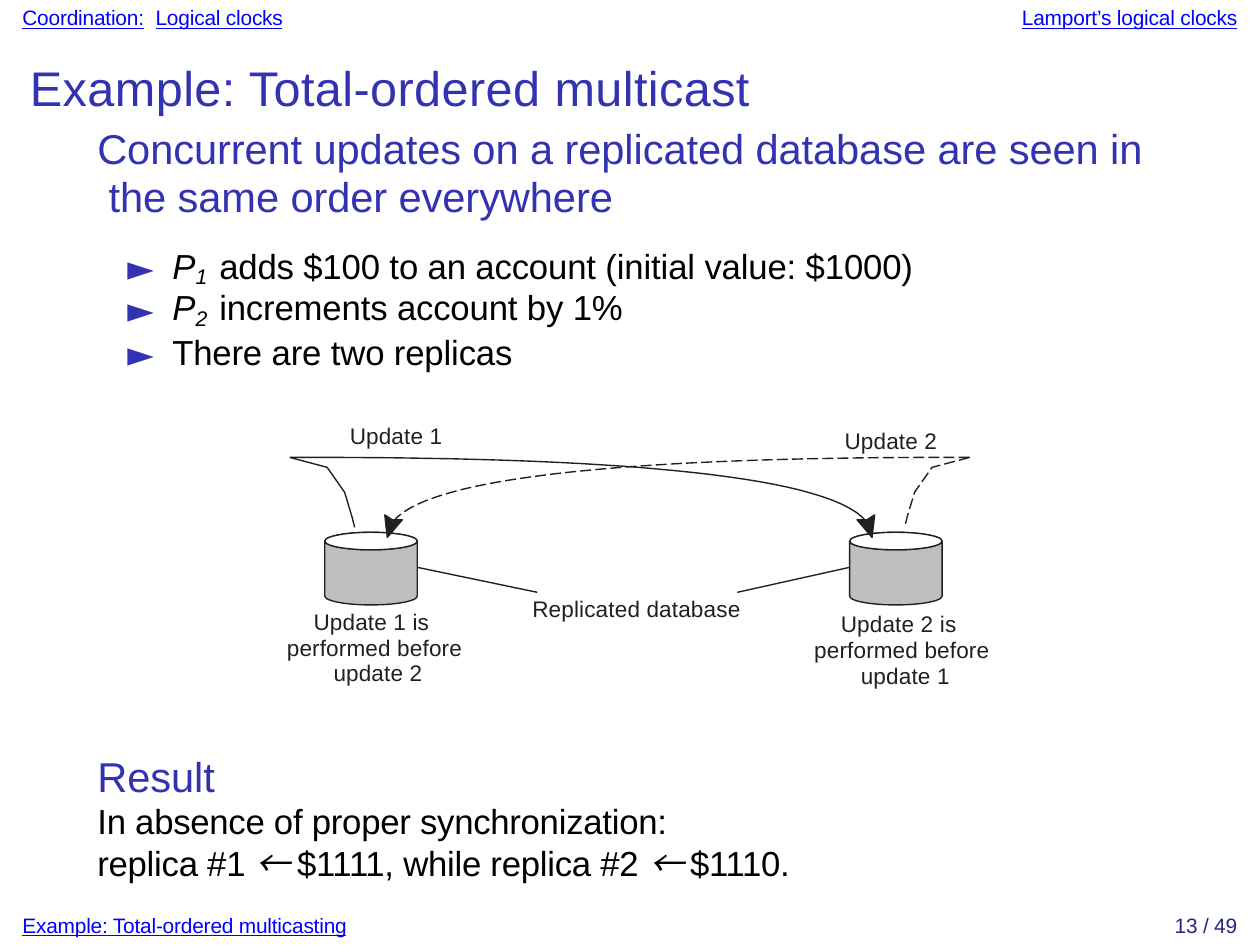
from lxml.etree import SubElement
from pptx import Presentation
from pptx.dml.color import RGBColor
from pptx.enum.dml import MSO_LINE
from pptx.enum.shapes import MSO_CONNECTOR, MSO_SHAPE
from pptx.enum.text import PP_ALIGN
from pptx.oxml.ns import qn
from pptx.util import Inches, Pt

BLUE = RGBColor(0x33, 0x33, 0xB2)
LINK = RGBColor(0x00, 0x00, 0xFF)
NAVY = RGBColor(0x26, 0x26, 0x85)
BLACK = RGBColor(0, 0, 0)
INK = RGBColor(0x23, 0x1F, 0x20)
GRAY = RGBColor(0xBC, 0xBE, 0xC0)
WHITE = RGBColor(0xFF, 0xFF, 0xFF)
FONT = "Arial"
SYMBOL_FONT = "Noto Sans CJK JP"

SUB = {"size": 10.5, "baseline": -16, "italic": True, "spacing": 0.1}
VAR = {"italic": True, "spacing": 0.1}
GAP = {"spacing": 0.5}
ARROW = {"font": SYMBOL_FONT, "italic": True}
UNDERLINED = {"underline": True}

HEADING = {"size": 12, "color": BLUE, "spacing": -0.03}
BODY = {"size": 10, "color": BLACK, "spacing": -0.05}
BULLET = {**BODY, "spacing": -0.03, "bullet": True, "indent": 0.33, "line": 12}
FOOT = {"size": 6, "color": LINK, "spacing": -0.05}
LABEL = {"size": 6.5, "color": INK, "spacing": 0.05}
CAPTION = {**LABEL, "align": PP_ALIGN.CENTER, "line": 0.95}

TEXTS = [
    ((0.09, 0.02, 4.87, 0.13), [
        ({**FOOT, "right_tab": 4.86}, [
            ("Coordination:", UNDERLINED), (" ", {"spacing": 1.7}),
            ("Logical clocks", UNDERLINED), ("\t", {}),
            ("Lamport’s logical clocks", UNDERLINED)])]),
    ((0.12, 0.23, 3.2, 0.25), [
        ({"size": 14, "color": BLUE, "spacing": 0.1},
         [("Example: Total-ordered multicast", {})])]),
    ((0.36, 0.5, 4.5, 1.0), [
        ({**HEADING, "indent": 0.03, "line": 13.9},
         [("Concurrent updates on a replicated database are seen in"
           "\v the same order everywhere", {})]),
        ({**BULLET, "before": 7.5},
         [("P", VAR), ("1", SUB), (" ", GAP),
          ("adds $100 to an account (initial value: $1000)", {})]),
        (BULLET, [("P", VAR), ("2", SUB), (" ", GAP),
                  ("increments account by 1%", {})]),
        (BULLET, [("There are two replicas", {})])]),
    ((1.4, 1.69, 0.5, 0.14), [(LABEL, [("Update 1", {})])]),
    ((3.38, 1.71, 0.5, 0.14), [(LABEL, [("Update 2", {})])]),
    ((1.1, 2.44, 0.8, 0.33),
     [(CAPTION, [("Update 1 is \vperformed before\v update 2", {})])]),
    ((3.21, 2.45, 0.8, 0.33),
     [(CAPTION, [("Update 2 is \vperformed before\v update 1", {})])]),
    ((2.13, 2.38, 0.95, 0.14), [(LABEL, [("Replicated database", {})])]),
    ((0.39, 3.01, 3.0, 0.54), [
        ({**HEADING, "line": 14.1}, [("Result", {})]),
        ({**BODY, "line": 11.7},
         [("In absence of proper synchronization:", {})]),
        ({**BODY, "line": 12},
         [("replica #1 ", {}), ("← ", ARROW),
          ("$1111, while replica #2 ", {}), ("← ", ARROW), ("$1110.", {})])]),
    ((0.09, 3.65, 1.5, 0.13),
     [(FOOT, [("Example: Total-ordered multicasting", UNDERLINED)])]),
    ((4.6, 3.65, 0.35, 0.13),
     [({**FOOT, "color": NAVY, "align": PP_ALIGN.RIGHT}, [("13 / 49", {})])]),
]

SLIDE_W, SLIDE_H = Pt(363), Pt(272.5)
MIRROR_SUM = 5.04
REPLICA_LEFTS = (1.3, 3.4)
REPLICA_TOP, REPLICA_W, REPLICA_H, LID_H = 2.13, 0.37, 0.29, 0.07
REPLICA_LINKS = [((1.67, 2.27), (2.15, 2.37)), ((3.4, 2.27), (2.95, 2.37))]
SEND = [(1.16, 1.83), (1.31, 1.87), (1.38, 1.97), (1.41, 2.07), (1.42, 2.11)]
DELIVERY = [(1.16, 1.83), (1.72, 1.83), (3.36, 1.83), (3.48, 2.11)]
ARROWHEAD = [(3.5, 2.06), (3.47, 2.08), (3.43, 2.08), (3.49, 2.15)]
CURVE_STEPS = 40
LINE_W = Pt(0.41)


def bezier(controls, steps):
    def at(t):
        weights = ((1 - t) ** 3, 3 * t * (1 - t) ** 2,
                   3 * t ** 2 * (1 - t), t ** 3)
        return tuple(sum(w * c[axis] for w, c in zip(weights, controls))
                     for axis in (0, 1))
    return [at(step / steps) for step in range(steps + 1)]


def mirrored(points):
    return [(MIRROR_SUM - x, y) for x, y in points]


def add_tab_or_bullet(paragraph, style):
    props = paragraph._p.get_or_add_pPr()
    if "indent" in style:
        props.set("marL", str(Inches(style["indent"])))
    if "bullet" in style:
        props.set("indent", str(Inches(-0.18)))
        bullet_color = SubElement(props, qn("a:buClr"))
        SubElement(bullet_color, qn("a:srgbClr"), val=str(BLUE))
        SubElement(props, qn("a:buFont"), typeface=SYMBOL_FONT)
        SubElement(props, qn("a:buChar"), char="►")
    if "right_tab" in style:
        tabs = SubElement(props, qn("a:tabLst"))
        SubElement(tabs, qn("a:tab"), pos=str(Inches(style["right_tab"])), algn="r")


def write_run(paragraph, text, style):
    for index, line in enumerate(text.split("\v")):
        if index:
            paragraph.add_line_break()
        run = paragraph.add_run()
        run.text = line
        if "size" in style:
            run.font.size = Pt(style["size"])
        if "font" in style:
            run.font.name = style["font"]
        run.font.italic = style.get("italic")
        run.font.underline = style.get("underline")
        props = run._r.get_or_add_rPr()
        props.set("spc", str(round(style["spacing"] * 100)))
        if "baseline" in style:
            props.set("baseline", str(style["baseline"] * 1000))


def add_text(shapes, box, paragraphs):
    frame = shapes.add_textbox(*map(Inches, box)).text_frame
    frame.word_wrap = True
    frame.margin_left = frame.margin_top = 0
    frame.margin_right = frame.margin_bottom = 0
    for index, (style, runs) in enumerate(paragraphs):
        paragraph = frame.add_paragraph() if index else frame.paragraphs[0]
        add_tab_or_bullet(paragraph, style)
        paragraph.alignment = style.get("align")
        if "line" in style:
            line = style["line"]
            paragraph.line_spacing = line if line < 2 else Pt(line)
        if "before" in style:
            paragraph.space_before = Pt(style["before"])
        paragraph.font.name = FONT
        paragraph.font.size = Pt(style["size"])
        paragraph.font.color.rgb = style["color"]
        for text, changes in runs:
            write_run(paragraph, text, {"spacing": style["spacing"], **changes})


def paint(shape, fill=None, dash=None):
    shape.shadow.inherit = False
    if fill is None:
        shape.fill.background()
    else:
        shape.fill.solid()
        shape.fill.fore_color.rgb = fill
    shape.line.color.rgb = INK
    shape.line.width = LINE_W
    if dash:
        shape.line.dash_style = dash


def add_outline(shapes, points, close=False):
    corners = [(Inches(x), Inches(y)) for x, y in points]
    builder = shapes.build_freeform(*corners[0])
    builder.add_line_segments(corners[1:], close=close)
    return builder.convert_to_shape()


def add_replica(shapes, left):
    body = shapes.add_shape(MSO_SHAPE.CAN, *map(
        Inches, (left, REPLICA_TOP, REPLICA_W, REPLICA_H)))
    body.adjustments[0] = LID_H / REPLICA_H
    paint(body, GRAY)
    lid = shapes.add_shape(MSO_SHAPE.OVAL, *map(
        Inches, (left, REPLICA_TOP, REPLICA_W, LID_H)))
    paint(lid, WHITE)


def main():
    deck = Presentation()
    deck.slide_width, deck.slide_height = SLIDE_W, SLIDE_H
    shapes = deck.slides.add_slide(deck.slide_layouts[6]).shapes
    for left in REPLICA_LEFTS:
        add_replica(shapes, left)
    for place, dash in ((list, None), (mirrored, MSO_LINE.LONG_DASH)):
        for route in (SEND, bezier(DELIVERY, CURVE_STEPS)):
            paint(add_outline(shapes, place(route)), dash=dash)
        paint(add_outline(shapes, place(ARROWHEAD), close=True), INK)
    for start, end in REPLICA_LINKS:
        link = shapes.add_connector(
            MSO_CONNECTOR.STRAIGHT, *map(Inches, (*start, *end)))
        link.line.color.rgb = INK
        link.line.width = LINE_W
        SubElement(link._element.spPr, qn("a:effectLst"))
    for box, paragraphs in TEXTS:
        add_text(shapes, box, paragraphs)
    deck.save("out.pptx")


if __name__ == "__main__":
    main()
